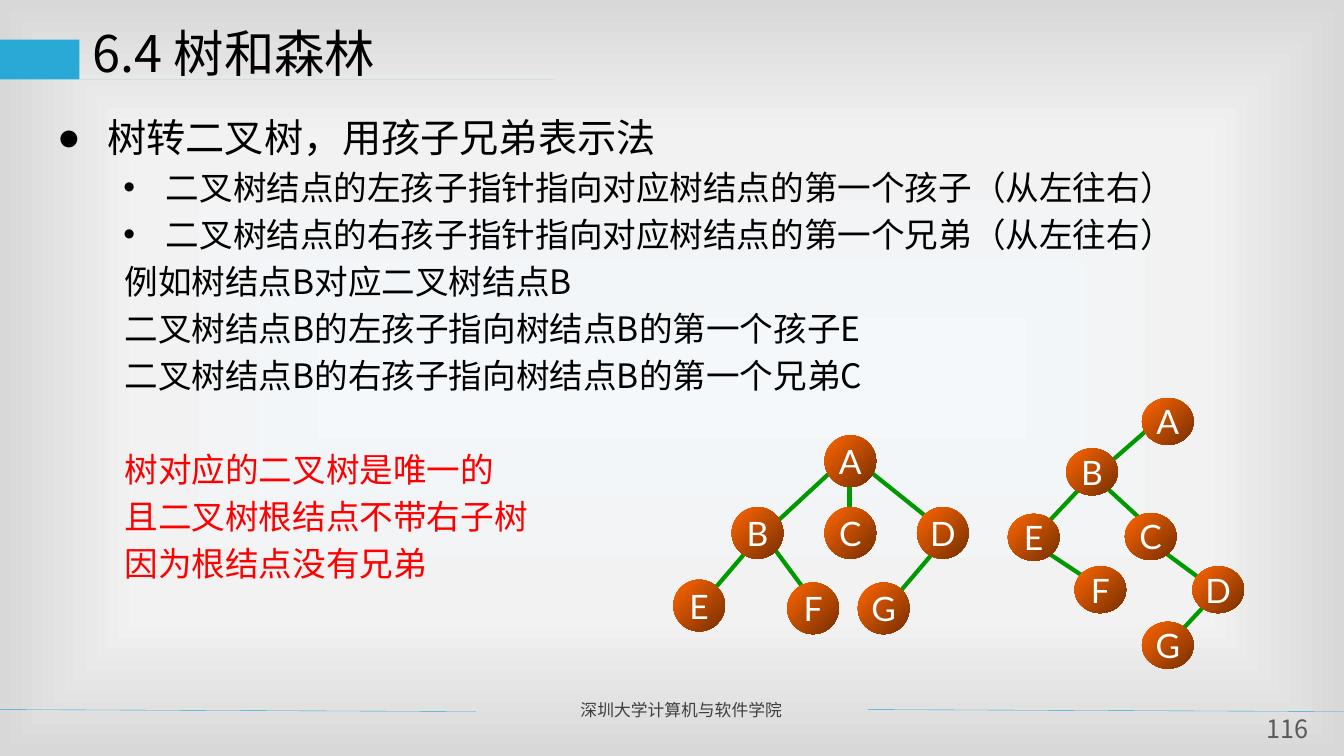
from dataclasses import dataclass

from lxml.etree import SubElement
from pptx import Presentation
from pptx.dml.color import RGBColor
from pptx.enum.shapes import MSO_CONNECTOR as Conn, MSO_SHAPE as Shape
from pptx.enum.text import MSO_ANCHOR as Anchor, PP_ALIGN as Align
from pptx.oxml import parse_xml
from pptx.oxml.ns import nsdecls, qn
from pptx.util import Cm, Pt

CJK = "Noto Sans CJK SC"
BLUE, GREEN, BLACK, RED = "28A9D6", "009900", "000000", "FF0000"


@dataclass
class Node:
    label: str
    x: float
    y: float


@dataclass
class Line:
    x1: float
    y1: float
    x2: float
    y2: float


@dataclass
class Tree:
    node_height: float
    nodes: list[Node]
    edges: list[Line]


@dataclass
class Bullet:
    text: str
    size: float = 24
    color: str = BLACK
    mark: str = ""
    left: float = 1.7
    hang: float = 0
    before: float = 4.8
    spacing: float = 28.8


def rgb(color: str) -> RGBColor:
    return RGBColor.from_string(color)


def add_run(p, text: str, size: float, color: str, font: str = CJK) -> None:
    r = p.add_run()
    r.text = text
    r.font.size = Pt(size)
    r.font.name = font
    r.font.color.rgb = rgb(color)
    SubElement(r.font._element, qn("a:ea"), typeface=font)


def add_box(s, x: float, y: float, w: float, h: float):
    tf = s.shapes.add_textbox(Cm(x), Cm(y), Cm(w), Cm(h)).text_frame
    tf.word_wrap = True
    return tf


def add_line(s, line: Line, color: str, width: float) -> None:
    cx = s.shapes.add_connector(
        Conn.STRAIGHT, Cm(line.x1), Cm(line.y1), Cm(line.x2), Cm(line.y2))
    cx.line.color.rgb = rgb(color)
    cx.line.width = Pt(width)
    SubElement(cx._element.spPr, qn("a:effectLst"))


def add_node(s, node: Node, height: float) -> None:
    sp = s.shapes.add_shape(Shape.OVAL, Cm(node.x), Cm(node.y), Cm(1.3), Cm(height))
    sp.shadow.inherit = False
    sp.line.fill.background()
    sp.fill.gradient()
    sp.fill.gradient_angle = 315
    for stop, color in zip(sp.fill.gradient_stops, ("FF6600", "762F00")):
        stop.color.rgb = rgb(color)
    tf = sp.text_frame
    tf.word_wrap = False
    tf.vertical_anchor = Anchor.MIDDLE
    tf.margin_left = tf.margin_right = 0
    p = tf.paragraphs[0]
    p.alignment = Align.CENTER
    add_run(p, node.label, 24, "FFFFFF", "Lato")


def add_tree(s, tree: Tree) -> None:
    for edge in tree.edges:
        add_line(s, edge, GREEN, 3)
    for node in tree.nodes:
        add_node(s, node, tree.node_height)


def add_bullets(tf, bullets: list[Bullet]) -> None:
    for i, b in enumerate(bullets):
        p = tf.add_paragraph() if i else tf.paragraphs[0]
        p.line_spacing = Pt(b.spacing)
        p.space_before = Pt(b.before)
        pPr = p._p.get_or_add_pPr()
        pPr.set("marL", str(Cm(b.left)))
        pPr.set("indent", str(-Cm(b.hang)))
        if b.mark:
            SubElement(pPr, qn("a:buFont"), typeface="Arial")
            SubElement(pPr, qn("a:buChar"), char=b.mark)
        add_run(p, b.text, b.size, b.color)


def set_background(s) -> None:
    stops = "".join(
        f'<a:gs pos="{pos}000"><a:srgbClr val="{color}"/></a:gs>'
        for pos, color in ((0, "F4F8FB"), (63, "F2F2F2"), (100, "D8D8D8")))
    s._element.cSld.insert(0, parse_xml(
        f'<p:bg {nsdecls("p", "a")}><p:bgPr><a:gradFill rotWithShape="1">'
        f'<a:gsLst>{stops}</a:gsLst><a:path path="rect">'
        '<a:fillToRect l="50000" t="50000" r="50000" b="50000"/></a:path>'
        '</a:gradFill><a:effectLst/></p:bgPr></p:bg>'))


def add_emblem(s) -> None:
    outline = [(2.08, 1.17), (2.11, 1.17), (2.11, 2.31), (13.72, 2.31),
               (13.72, 2.34), (1.96, 2.34), (1.96, 1.22), (1.5, 1.22),
               (1.5, 2.34), (0.48, 2.34), (0.48, 1.17), (0.81, 1.17),
               (0.81, 2.29), (1.24, 2.29), (1.24, 1.17)]
    fb = s.shapes.build_freeform(*outline[0], scale=Cm(1))
    fb.add_line_segments(outline[1:], close=True)
    sp = fb.convert_to_shape()
    sp.shadow.inherit = False
    sp.fill.solid()
    sp.fill.fore_color.rgb = rgb(BLUE)
    sp.line.fill.background()


BULLETS = [
    Bullet("树转二叉树，用孩子兄弟表示法", size=28, mark="●", left=1.27, hang=1.27,
           before=0, spacing=36),
    Bullet("二叉树结点的左孩子指针指向对应树结点的第一个孩子（从左往右）",
           mark="•", left=2.74, hang=1.07),
    Bullet("二叉树结点的右孩子指针指向对应树结点的第一个兄弟（从左往右）",
           mark="•", left=2.74, hang=1.07),
    Bullet("例如树结点B对应二叉树结点B"),
    Bullet("二叉树结点B的左孩子指向树结点B的第一个孩子E"),
    Bullet("二叉树结点B的右孩子指向树结点B的第一个兄弟C"),
    Bullet("树对应的二叉树是唯一的", color=RED, before=38.4),
    Bullet("且二叉树根结点不带右子树", color=RED),
    Bullet("因为根结点没有兄弟", color=RED),
]

GENERAL_TREE = Tree(
    1.3,
    [Node("A", 20.78, 10.97), Node("B", 18.44, 12.78), Node("C", 20.78, 12.78),
     Node("D", 23.11, 12.78), Node("E", 16.97, 14.61), Node("F", 19.84, 14.68),
     Node("G", 21.62, 14.68)],
    [Line(21.74, 11.73, 23.32, 13), Line(21.11, 11.73, 19.51, 13.21),
     Line(21.41, 12.19, 21.41, 12.83), Line(19.2, 13.44, 18.03, 14.81),
     Line(19.3, 13.54, 20.24, 14.81), Line(23.85, 13.54, 22.68, 14.91)])

BINARY_TREE = Tree(
    1.18,
    [Node("A", 28.78, 10.03), Node("B", 26.87, 11.3), Node("C", 28.35, 12.93),
     Node("D", 30.05, 14.27), Node("E", 25.4, 12.95), Node("F", 27.08, 14.27),
     Node("G", 28.78, 15.67)],
    [Line(29.51, 10.31, 27.94, 11.68), Line(27.61, 11.89, 26.44, 13.13),
     Line(27.94, 12.34, 28.78, 13.11), Line(29.31, 13.89, 30.89, 15.06),
     Line(26.04, 13.69, 27.51, 14.66), Line(30.78, 14.81, 29.62, 16.05)])


def main() -> None:
    prs = Presentation()
    prs.slide_width, prs.slide_height = Cm(33.87), Cm(19.05)
    s = prs.slides.add_slide(prs.slide_layouts[6])
    set_background(s)
    add_emblem(s)
    for x1, x2 in ((0, 11.99), (21.87, 33.86)):
        add_line(s, Line(x1, 17.88, x2, 17.93), BLUE, 0.25)

    footer = add_box(s, 14.38, 17.5, 7.24, 0.76)
    add_run(footer.paragraphs[0], "深圳大学计算机与软件学院", 12, "3F3F3F")
    add_bullets(add_box(s, 1.19, 2.64, 30.81, 12.4), BULLETS)
    title = add_box(s, 2.08, 0.43, 30.48, 2.21)
    add_run(title.paragraphs[0], "6.4 树和森林", 36, BLACK)

    number = add_box(s, 31.7, 17.98, 1.5, 0.79)
    number.margin_left = number.margin_right = 0
    number.margin_top = number.margin_bottom = 0
    number.paragraphs[0].alignment = Align.CENTER
    add_run(number.paragraphs[0], "116", 18, "595959")

    for tree in (GENERAL_TREE, BINARY_TREE):
        add_tree(s, tree)
    prs.save("out.pptx")


if __name__ == "__main__":
    main()
